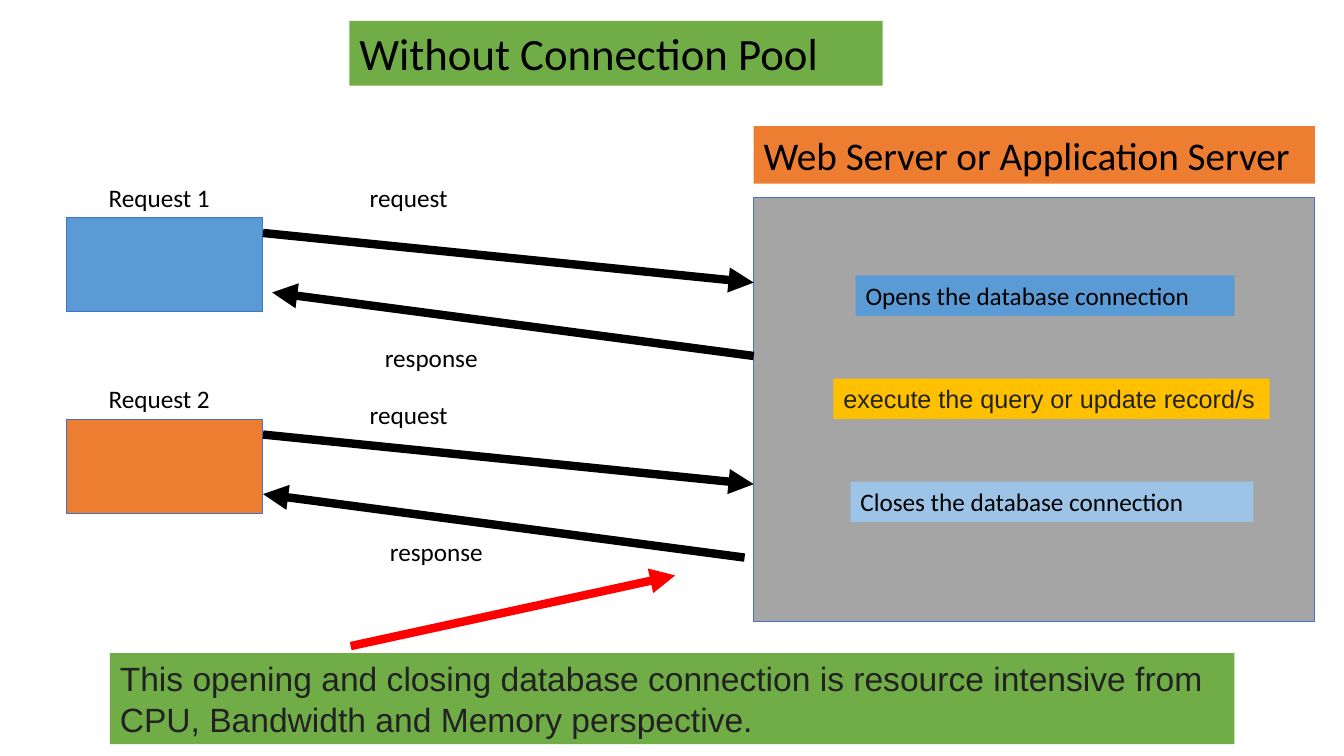
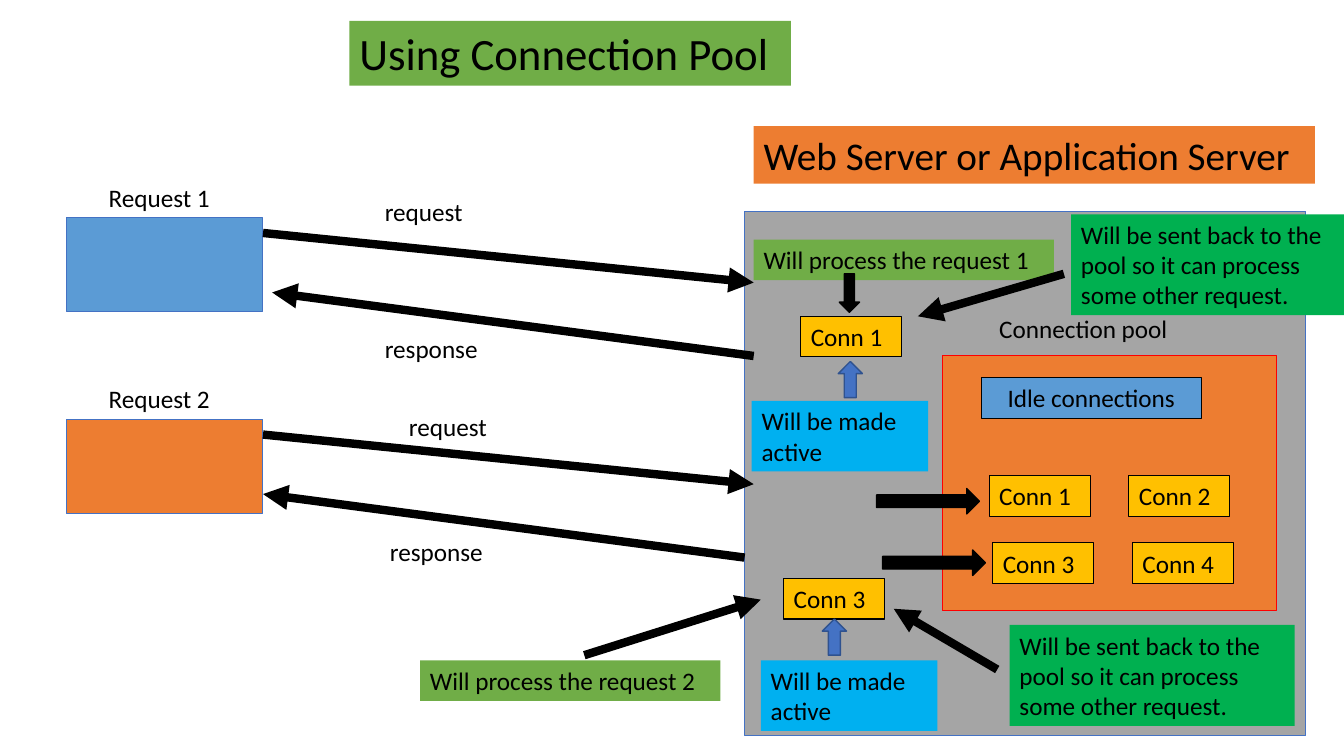
from dataclasses import dataclass

from lxml.etree import SubElement
from pptx import Presentation
from pptx.dml.color import RGBColor
from pptx.enum.shapes import MSO_CONNECTOR, MSO_SHAPE
from pptx.enum.text import MSO_ANCHOR, PP_ALIGN
from pptx.oxml.ns import qn
from pptx.util import Cm, Pt

BLACK, DARK_GREY, GREY, RED = "000000", "222222", "A5A5A5", "FF0000"
BLUE, LIGHT_BLUE, BRIGHT_BLUE = "5B9BD5", "9DC3E6", "00B0F0"
GREEN, DEEP_GREEN = "70AD47", "00B050"
ORANGE, GOLD = "ED7D31", "FFC000"
OUTLINE, ARROW_BLUE, ARROW_EDGE = "4472C4", "4472C4", "2F528F"

LINE_HEIGHT = 1.02
CONN_WIDTH = 2.54
SERVER_EDGE = 19


@dataclass
class Box:
    """A rectangle on the page, in centimetres."""
    left: float
    top: float
    width: float
    height: float

    def at(self, left, top, width, height=LINE_HEIGHT):
        """Return a box whose corner is offset from the corner of this one."""
        return Box(self.left + left, self.top + top, width, height)

    def point(self, left, top):
        return self.left + left, self.top + top

    def lengths(self):
        return Cm(self.left), Cm(self.top), Cm(self.width), Cm(self.height)


def colour(value):
    return RGBColor.from_string(value)


def write(shape, text, size=18, font="Calibri", ink=BLACK, align=PP_ALIGN.LEFT):
    frame = shape.text_frame
    frame.word_wrap = True
    frame.vertical_anchor = MSO_ANCHOR.TOP
    frame.text = text
    para = frame.paragraphs[0]
    para.alignment = align
    for span in para.runs:
        span.font.name = font
        span.font.size = Pt(size)
        span.font.color.rgb = colour(ink)


def add_panel(page, box, fill, line=None, kind=MSO_SHAPE.RECTANGLE, weight=0.75):
    shape = page.shapes.add_shape(kind, *box.lengths())
    shape.shadow.inherit = False
    shape.fill.solid()
    shape.fill.fore_color.rgb = colour(fill)
    if line:
        shape.line.color.rgb = colour(line)
        shape.line.width = Pt(weight)
    else:
        shape.line.fill.background()
    return shape


def add_label(page, box, text, fill=None, line=None, **style):
    """Add text, on a filled panel if a fill is given."""
    if fill:
        shape = add_panel(page, box, fill, line)
    else:
        shape = page.shapes.add_textbox(*box.lengths())
    write(shape, text, **style)


def add_block_arrow(page, box, kind, fill=BLACK, line=BLACK):
    add_panel(page, box, fill, line, kind, weight=1)


def add_arrow(page, start, end, ink=BLACK):
    ends = [Cm(length) for length in (*start, *end)]
    arrow = page.shapes.add_connector(MSO_CONNECTOR.STRAIGHT, *ends)
    arrow.line.color.rgb = colour(ink)
    arrow.line.width = Pt(6)
    SubElement(arrow.line._get_or_add_ln(), qn("a:tailEnd"), type="triangle")
    SubElement(arrow._element.spPr, qn("a:effectLst"))


def add_client(page, box, name, fill, request_at, response_at, shift=0):
    """Add a client with its request and response; shift moves the response right."""
    add_panel(page, box, fill, OUTLINE)
    add_label(page, box.at(0.81, -1.03, 3.96), name)
    right = box.left + box.width
    add_arrow(page, (right, box.top + 0.38), (SERVER_EDGE, box.top + 1.63))
    add_arrow(page, (SERVER_EDGE - 0.23 + shift, box.top + 3.48),
              (right + shift, box.top + 1.88))
    add_label(page, box.at(*request_at, 4.22), "request")
    add_label(page, box.at(*response_at, 3.15), "response")


def add_base(deck, title, title_width, server, first_labels, second_labels):
    """Add a page with the title, the server panel and both clients."""
    page = deck.slides.add_slide(deck.slide_layouts[6])
    add_label(page, Box(8.81, 0.53, title_width, 1.63), title, GREEN, size=32)
    add_panel(page, server, GREY, OUTLINE)
    add_label(page, Box(SERVER_EDGE, 3.18, 14.15, 1.45),
              "Web Server or Application Server", ORANGE, size=28)
    client = Box(1.68, 5.49, 4.95, 2.36)
    add_client(page, client, "Request 1", BLUE, *first_labels, shift=0.23)
    add_client(page, client.at(0, 5.08, client.width, client.height),
               "Request 2", ORANGE, *second_labels)
    return page


def add_database_steps(page, server):
    steps = [
        ("Opens the database connection", 2.57, 9.55, BLUE, {}),
        ("execute the query or update record/s", 2.01, 11, GOLD,
         {"font": "Arial", "ink": DARK_GREY}),
        ("Closes the database connection", 2.44, 10.16, LIGHT_BLUE, {}),
    ]
    for index, (text, left, width, fill, style) in enumerate(steps):
        add_label(page, server.at(left, 1.96 + 2.6 * index, width), text, fill, **style)


def add_cost_note(page, box):
    add_label(page, box, "This opening and closing database connection is resource "
              "intensive from CPU, Bandwidth and Memory perspective.",
              GREEN, size=24, font="Arial", ink=DARK_GREY)
    add_arrow(page, box.point(6.07, -0.18), box.point(14.25, -1.96), RED)


def add_pool(page, box):
    """Add the pool with its idle connections, two of them pointed at."""
    add_panel(page, box, ORANGE, RED)
    add_label(page, box.at(1.19, -1.19, 7.52), "Connection pool")
    add_label(page, box.at(0.99, 0.56, 5.54), "Idle connections", BLUE, BLACK,
              align=PP_ALIGN.CENTER)
    for index in range(4):
        row, column = divmod(index, 2)
        place = box.at(1.19 + 3.52 * column + 0.09 * row, 3.03 + 1.69 * row, CONN_WIDTH)
        add_label(page, place, f"Conn {index + 1}", GOLD, BLACK)
    for left, top in ((-1.65, 3.35), (-1.5, 4.9)):
        add_block_arrow(page, box.at(left, top, 2.59, 0.64), MSO_SHAPE.RIGHT_ARROW)


def add_active_connection(page, box, name, request, active_at, up_at, process_at,
                          return_at, return_arrow):
    """Add a connection in use and its notes, all placed from its corner."""
    add_label(page, box.at(*active_at, 4.45, 1.78), "Will be made active", BRIGHT_BLUE)
    add_label(page, box, name, GOLD, BLACK)
    add_label(page, box.at(*process_at, 7.57),
              f"Will process the request {request}", GREEN)
    add_label(page, box.at(*return_at, 7.19, 2.54), "Will be sent back to the pool "
              "so it can process some other request.", DEEP_GREEN)
    add_block_arrow(page, box.at(*up_at, 0.61, 0.91), MSO_SHAPE.UP_ARROW,
                    ARROW_BLUE, ARROW_EDGE)
    add_arrow(page, *(box.point(*end) for end in return_arrow))


def build_without_pool(deck):
    server = Box(SERVER_EDGE, 4.98, 14.15, 10.69)
    page = add_base(deck, "Without Connection Pool", 13.44, server,
                    first_labels=((7.39, -1.02), (7.77, 3.02)),
                    second_labels=((7.39, -0.64), (7.9, 2.82)))
    add_database_steps(page, server)
    add_cost_note(page, Box(2.77, 16.46, 28.35, 2.29))


def build_with_pool(deck):
    server = Box(18.77, 5.33, 14.15, 13.21)
    page = add_base(deck, "Using Connection Pool", 11.13, server,
                    first_labels=((7.77, -0.66), (7.77, 2.79)),
                    second_labels=((8.38, -0.33), (7.9, 2.82)))
    add_pool(page, server.at(4.98, 3.63, 8.43, 6.43))

    first = server.at(1.42, 2.64, CONN_WIDTH)
    add_active_connection(page, first, "Conn 1", 1, active_at=(-1.24, 2.13),
                          up_at=(0.94, 1.14), process_at=(-1.19, -1.93),
                          return_at=(6.81, -2.57),
                          return_arrow=((6.63, -1.07), (2.95, 0)))
    add_block_arrow(page, first.at(0.97, -1.07, 0.51, 0.97), MSO_SHAPE.DOWN_ARROW)

    second = server.at(0.99, 9.25, CONN_WIDTH)
    add_active_connection(page, second, "Conn 3", 2, active_at=(-0.58, 2.06),
                          up_at=(0.97, 1.02), process_at=(-9.17, 2.06),
                          return_at=(5.69, 1.17),
                          return_arrow=((5.38, 2.29), (2.77, 0.76)))
    add_arrow(page, second.point(-5.03, 1.93), second.point(-0.58, 0.53))


def main():
    deck = Presentation()
    deck.slide_width, deck.slide_height = Cm(33.88), Cm(19.05)
    build_without_pool(deck)
    build_with_pool(deck)
    deck.save("out.pptx")


if __name__ == "__main__":
    main()
